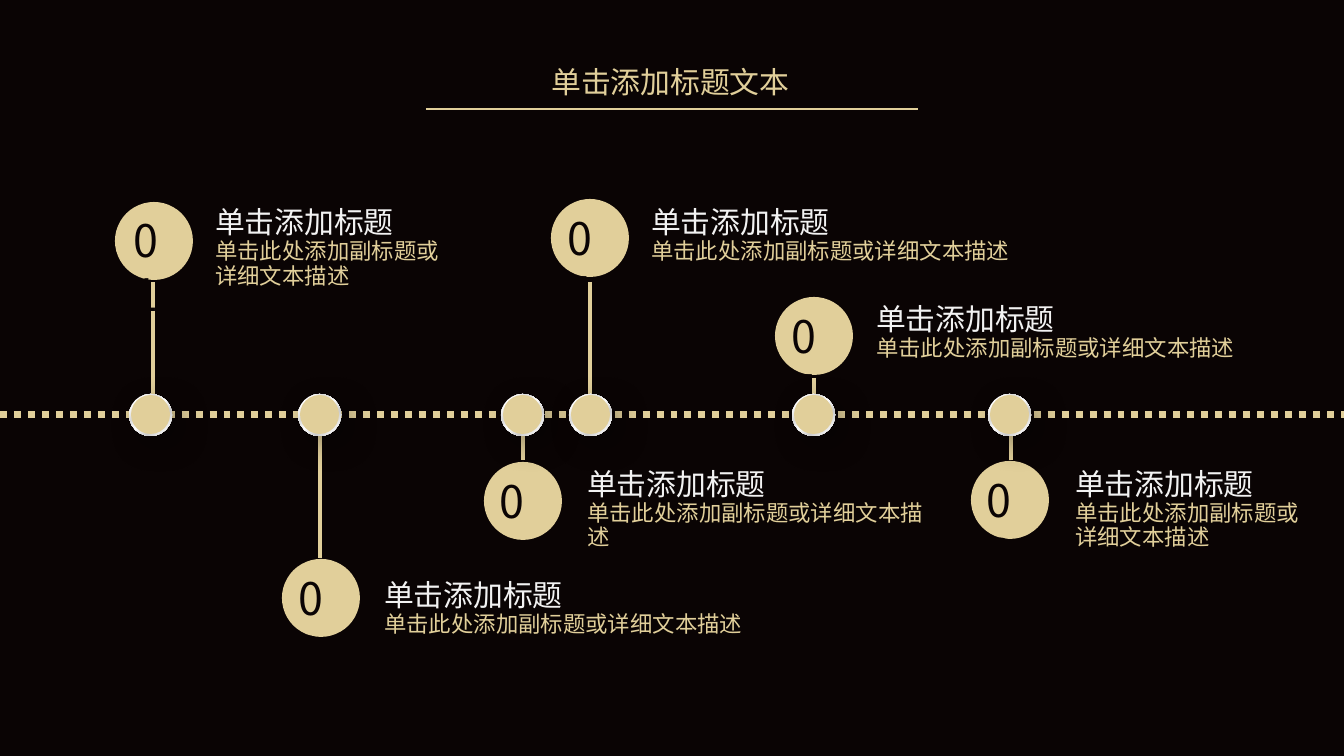
from collections import namedtuple

from lxml.etree import SubElement
from pptx import Presentation
from pptx.dml.color import RGBColor
from pptx.enum.dml import MSO_LINE
from pptx.enum.shapes import MSO_CONNECTOR, MSO_SHAPE
from pptx.enum.text import MSO_ANCHOR, MSO_AUTO_SIZE, PP_ALIGN
from pptx.oxml import parse_xml
from pptx.oxml.ns import nsdecls, qn
from pptx.util import Emu, Pt

EMU_PER_PX = 914400 / 134.4
WIDTH, HEIGHT = 1344, 756
FONT = "Noto Sans CJK SC"
COLORS = {"background": "0A0404", "gold": "E1CF9A", "heading": "F2F2F2"}
RIM_STOPS = [(16, "FFFFFF"), (33, "D9D9D9"), (49, "FFFFFF"), (69, "CCCCCC"), (91, "FFFFFF")]

BADGE_SIZE = 78
AXIS_Y = 415
NODE_TOP = 394

# badge: left, top; stem: x, top, bottom; label: left, top, width, height
Step = namedtuple("Step", "number badge stem node_left label number_offset", defaults=[(7, 7)])
STEPS = [
    Step("01", (115, 202), (153, 282, 402), 129, (202, 208, 258, 87), (10, 6)),
    Step("02", (282, 559), (320, 430, 558), 298, (371, 581, 444, 63)),
    Step("03", (484, 462), (523, 430, 460), 501, (574, 470, 363, 87)),
    Step("04", (551, 199), (590, 282, 402), 569, (638, 208, 387, 63)),
    Step("05", (775, 297), (814, 378, 402), 792, (863, 305, 387, 63)),
    Step("06", (971, 461), (1011, 430, 460), 988, (1062, 470, 263, 87)),
]


def px(*values):
    return [Emu(round(value * EMU_PER_PX)) for value in values]


def color(name):
    return RGBColor.from_string(COLORS[name])


def add_run(paragraph, text, size, color_name):
    run = paragraph.add_run()
    run.text = text
    run.font.name = FONT
    run.font.size = Pt(size)
    run.font.color.rgb = color(color_name)
    SubElement(run.font._element, qn("a:ea"), typeface=FONT)


def prepare_frame(shape):
    frame = shape.text_frame
    frame.word_wrap = True
    frame.auto_size = MSO_AUTO_SIZE.SHAPE_TO_FIT_TEXT
    frame.vertical_anchor = MSO_ANCHOR.TOP
    return frame


def add_circle(shapes, left, top, width, height):
    shape = shapes.add_shape(MSO_SHAPE.OVAL, *px(left, top, width, height))
    shape.shadow.inherit = False
    shape.fill.solid()
    shape.fill.fore_color.rgb = color("gold")
    shape.line.fill.background()
    return shape


def add_line(slide, x1, y1, x2, y2, width, dash=None):
    line = slide.shapes.add_connector(MSO_CONNECTOR.STRAIGHT, *px(x1, y1, x2, y2))
    line.line.color.rgb = color("gold")
    line.line.width = Pt(width)
    if dash:
        line.line.dash_style = dash
    SubElement(line._element.spPr, qn("a:effectLst"))


def add_badge(slide, step):
    shapes = slide.shapes.add_group_shape().shapes
    left, top = step.badge
    add_circle(shapes, left, top, BADGE_SIZE, BADGE_SIZE)
    dx, dy = step.number_offset
    frame = prepare_frame(shapes.add_textbox(*px(left + dx, top + dy, 66, 65)))
    frame.margin_left = frame.margin_right = px(9)[0]
    frame.margin_top = frame.margin_bottom = px(5)[0]
    add_run(frame.paragraphs[0], step.number, 24, "background")


def add_rim_effects(rim):
    """Give the rim its metallic gradient and soft shadow."""
    properties = rim._element.spPr
    stops = "".join(
        f'<a:gs pos="{position * 1000}"><a:srgbClr val="{value}"/></a:gs>'
        for position, value in RIM_STOPS
    )
    gradient = parse_xml(
        f'<a:gradFill {nsdecls("a")}><a:gsLst>{stops}</a:gsLst>'
        '<a:lin ang="2700000" scaled="0"/></a:gradFill>'
    )
    properties.replace(properties.find(qn("a:solidFill")), gradient)
    shadow = parse_xml(
        f'<a:outerShdw {nsdecls("a")} blurRad="{Pt(17)}" dist="{Pt(7)}" dir="2700000">'
        '<a:srgbClr val="000000"><a:alpha val="40000"/></a:srgbClr></a:outerShdw>'
    )
    properties.find(qn("a:effectLst")).append(shadow)


def add_node(slide, left):
    shapes = slide.shapes.add_group_shape().shapes
    add_rim_effects(add_circle(shapes, left, NODE_TOP, 43, 42))
    add_circle(shapes, left + 2, NODE_TOP + 1, 39, 39)


def add_label(slide, box):
    frame = prepare_frame(slide.shapes.add_textbox(*px(*box)))
    heading, description = frame.paragraphs[0], frame.add_paragraph()
    add_run(heading, "单击添加标题", 16, "heading")
    add_run(description, "单击此处添加副标题或详细文本描述", 12, "gold")
    for paragraph in frame.paragraphs:
        paragraph.line_spacing = Pt(13.2)


def add_title(slide):
    title = slide.shapes.title
    title.left, title.top, title.width, title.height = px(538, 39, 269, 62)
    paragraph = prepare_frame(title).paragraphs[0]
    paragraph.alignment = PP_ALIGN.JUSTIFY
    paragraph.line_spacing = 1.5
    add_run(paragraph, "单击添加标题文本", 16, "gold")
    add_line(slide, 426, 109, 918, 109, 1.5)


def main():
    presentation = Presentation()
    presentation.slide_width, presentation.slide_height = px(WIDTH, HEIGHT)
    slide = presentation.slides.add_slide(presentation.slide_layouts[5])
    slide.background.fill.solid()
    slide.background.fill.fore_color.rgb = color("background")

    add_title(slide)

    # Later badges lie under the stems, the first one above them
    for step in STEPS[1:]:
        add_badge(slide, step)
    for step in STEPS:
        x, top, bottom = step.stem
        add_line(slide, x, top, x, bottom, 1.75)
    add_line(slide, 0, AXIS_Y, WIDTH, AXIS_Y, 3.75, MSO_LINE.ROUND_DOT)
    add_badge(slide, STEPS[0])

    # Labels and timeline nodes
    for step in STEPS:
        add_label(slide, step.label)
        add_node(slide, step.node_left)

    presentation.save("out.pptx")


if __name__ == "__main__":
    main()
